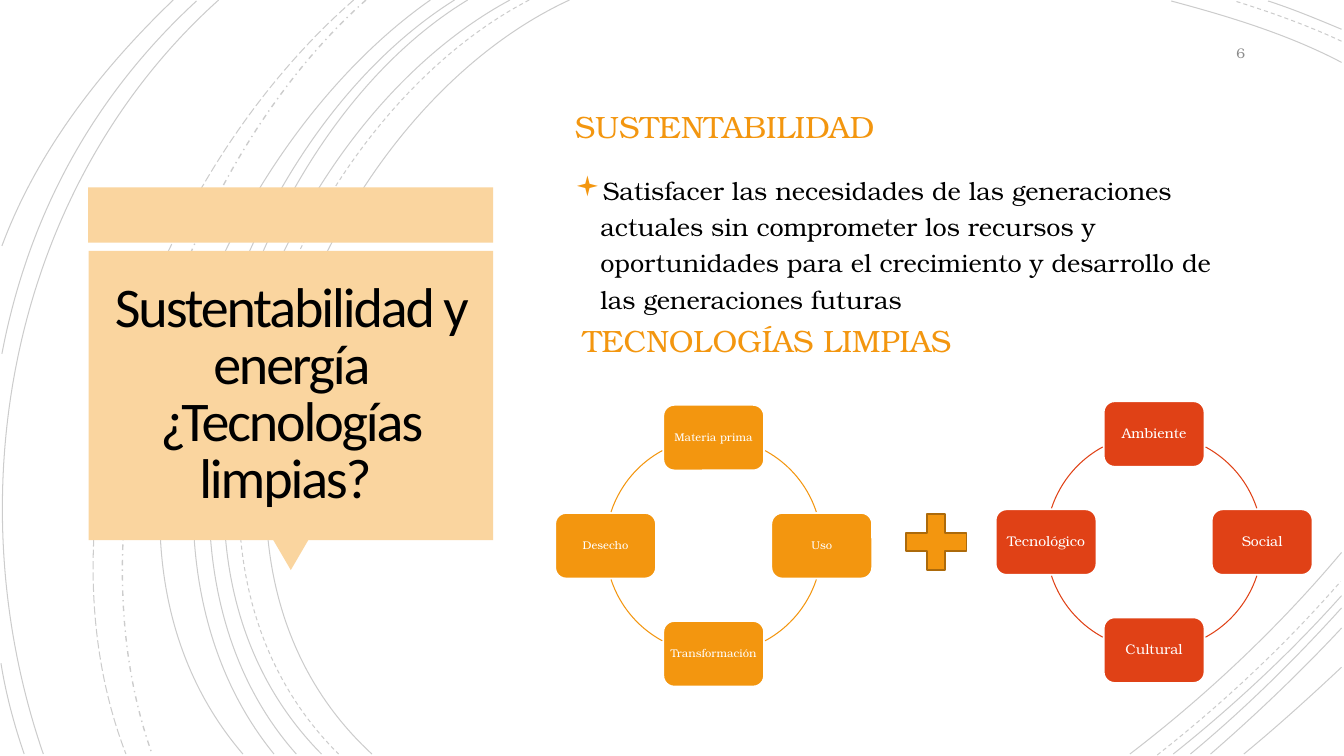
from dataclasses import dataclass

from lxml import etree
from pptx import Presentation
from pptx import util as u
from pptx.dml.color import RGBColor
from pptx.enum import dml, shapes, text
from pptx.oxml import ns

Pt = u.Pt
Shape = shapes.MSO_SHAPE
Align = text.PP_ALIGN
Anchor = text.MSO_ANCHOR
Dash = dml.MSO_LINE

ORANGE = RGBColor(0xF3, 0x96, 0x0F)
DARK_ORANGE = RGBColor(0xAC, 0x6A, 0x0B)
PEACH = RGBColor(0xFA, 0xD5, 0x9F)
RED = RGBColor(0xE0, 0x41, 0x16)
GRAY = RGBColor(0x8C, 0x8C, 0x8C)
BLACK = RGBColor(0, 0, 0)
WHITE = RGBColor(255, 255, 255)
SERIF = "TeX Gyre Bonum"

NODE_WIDTH, NODE_HEIGHT = 72, 46.8
CYCLE_RADIUS = 77.2


@dataclass
class Curve:
    points: tuple  # start, two controls, end
    dash: int = Dash.SOLID
    width: float = 0.75


@dataclass
class Label:
    words: str
    box: tuple  # left, top, width, height
    size: float
    color: RGBColor
    align: int = Align.LEFT
    anchor: int = Anchor.MIDDLE
    before: float = 0


@dataclass
class Cycle:
    center: tuple
    color: RGBColor
    size: float
    steps: tuple  # clockwise from the top


def sweep(top_x, control_1, control_2, bottom_x, dash=Dash.SOLID, width=0.75) -> Curve:
    """A curve that runs from the top edge to the bottom edge."""
    return Curve(((top_x, 0), control_1, control_2, (bottom_x, 538.6)), dash, width)


CURVES = [
    # Left sweeps
    sweep(406.8, (226.8, 82.8), (103, 388.8), 265.7),
    sweep(378, (205.2, 90), (88.6, 386.6), 241.9, Dash.DASH),
    sweep(364.3, (194.4, 91.4), (79.2, 386.6), 229.7),
    sweep(334.1, (175.7, 95.8), (79.2, 389.5), 211.7),
    sweep(324.7, (166.3, 99.4), (69.8, 383.8), 195.8),
    sweep(307.4, (156.2, 105.8), (38.2, 380.9), 173.5),
    sweep(261.4, (126.7, 119.5), (46.8, 366.5), 108.7, Dash.DASH_DOT, 1),
    sweep(252.7, (113, 121.7), (20.9, 359.3), 90, Dash.LONG_DASH),
    sweep(156.2, (7.9, 133.2), (-33.1, 352.8), 31),
    # Left edge
    Curve(((140.4, 0.7), (66.2, 69.1), (20.2, 154.1), (1.4, 252.7))),
    Curve(((0.7, 473.8), (4.3, 496.1), (10.1, 517.7), (17.3, 538.6))),
    Curve(((123.8, 0), (72, 49.7), (26.6, 108), (1.4, 175.7))),
    # Top right corner
    Curve(((958.3, 44.6), (920.2, 24.5), (877, 11.5), (836.6, 0.7))),
    Curve(((958.3, 29.5), (933.8, 18), (907.2, 8.6), (882, 0.7)), Dash.DASH),
    Curve(((958.3, 20.9), (941, 13.7), (923.8, 6.5), (905.8, 0.7))),
    # Bottom right corner
    Curve(((807.1, 538.6), (861.8, 496.8), (913.7, 447.8), (958.3, 394.6))),
    Curve(((826.6, 539.3), (873.4, 502.6), (918, 460.8), (957.6, 415.4)), Dash.DASH),
    Curve(((838.1, 538.6), (880.6, 504.7), (921.6, 466.6), (958.3, 425.5))),
    Curve(((850.3, 538.6), (888.5, 506.9), (924.5, 471.6), (958.3, 434.2))),
    Curve(((864.7, 538.6), (897.1, 510.5), (928.8, 480.2), (958.3, 448.6))),
    Curve(((888.5, 538.6), (912.2, 519.1), (935.3, 498.2), (958.3, 476.6))),
]

LABELS = [
    Label("SUSTENTABILIDAD", (403.5, 63.4, 493.2, 54), 22, ORANGE, before=10),
    Label("TECNOLOGÍAS LIMPIAS", (409, 216, 493.2, 54), 22, ORANGE, before=10),
    Label("6", (824.4, 25.2, 72, 25.2), 10, GRAY, Align.RIGHT),
]
DEFINITION = Label(
    "Satisfacer las necesidades de las generaciones actuales sin comprometer los recursos "
    "y oportunidades para el crecimiento y desarrollo de las generaciones futuras",
    (403.7, 117.2, 493.2, 133.9), 18, BLACK, anchor=Anchor.TOP, before=10)

CYCLES = [
    Cycle((509.8, 389.8), ORANGE, 8, ("Materia prima", "Uso", "Transformación", "Desecho")),
    Cycle((824.4, 387.2), RED, 10, ("Ambiente", "Social", "Cultural", "Tecnológico")),
]


def apply(target, **values) -> None:
    for name, value in values.items():
        setattr(target, name, value)


def write(shape, words: str, size: float, color: RGBColor, align: int,
          anchor: int = Anchor.MIDDLE, font: str = SERIF, inset: float = None):
    frame = shape.text_frame
    apply(frame, word_wrap=True, auto_size=text.MSO_AUTO_SIZE.NONE, vertical_anchor=anchor)
    if inset is not None:
        for side in ("left", "top", "right", "bottom"):
            setattr(frame, f"margin_{side}", Pt(inset))
    para = frame.paragraphs[0]
    para.alignment = align
    span = para.add_run()
    span.text = words
    apply(span.font, name=font, size=Pt(size))
    span.font.color.rgb = color
    return para


def add_label(page, label: Label):
    box = page.shapes.add_textbox(*map(Pt, label.box))
    para = write(box, label.words, label.size, label.color, label.align, label.anchor)
    para.space_before = Pt(label.before)
    return para


def add_block(page, kind: int, box: tuple, fill: RGBColor, line: RGBColor = None):
    shape = page.shapes.add_shape(kind, *map(Pt, box))
    shape.shadow.inherit = False
    shape.fill.solid()
    shape.fill.fore_color.rgb = fill
    if line is None:
        shape.line.fill.background()
    else:
        shape.line.color.rgb = line
        shape.line.width = Pt(1.25)
    return shape


def add_curve(page, curve: Curve) -> None:
    start, *others = [(Pt(x), Pt(y)) for x, y in curve.points]
    builder = page.shapes.build_freeform(*start)
    builder.add_line_segments(others, close=False)
    shape = builder.convert_to_shape()
    # Join the three segments into one cubic Bézier
    segments = list(shape._element.iter(ns.qn("a:lnTo")))
    bezier = etree.SubElement(segments[0].getparent(), ns.qn("a:cubicBezTo"))
    for segment in segments:
        bezier.append(segment[0])
        segment.getparent().remove(segment)
    shape.shadow.inherit = False
    shape.fill.background()
    shape.line.color.rgb = BLACK
    apply(shape.line, width=Pt(curve.width), dash_style=curve.dash)
    ink = shape.line._ln.find(".//" + ns.qn("a:srgbClr"))
    etree.SubElement(ink, ns.qn("a:alpha"), val="20000")


def add_cycle(page, cycle: Cycle) -> None:
    x, y = cycle.center
    directions = ((0, -1), (1, 0), (0, 1), (-1, 0))
    for words, (dx, dy) in zip(cycle.steps, directions):
        node = add_block(page, Shape.ROUNDED_RECTANGLE,
                         (x + dx * CYCLE_RADIUS - NODE_WIDTH / 2,
                          y + dy * CYCLE_RADIUS - NODE_HEIGHT / 2,
                          NODE_WIDTH, NODE_HEIGHT), cycle.color, WHITE)
        write(node, words, cycle.size, WHITE, Align.CENTER, inset=2.5).line_spacing = 0.9
    # Arcs between neighbouring nodes, in degrees clockwise from the right
    for start, end in ((298.4, 341.8), (18.2, 61.6), (118.4, 161.8), (198.2, 241.6)):
        arc = page.shapes.add_shape(Shape.ARC, Pt(x - CYCLE_RADIUS), Pt(y - CYCLE_RADIUS),
                                    Pt(2 * CYCLE_RADIUS), Pt(2 * CYCLE_RADIUS))
        arc.shadow.inherit = False
        arc.fill.background()
        arc.line.color.rgb = cycle.color
        arc.line.width = Pt(0.75)
        for index, angle in enumerate((start, end)):
            arc.adjustments[index] = angle * 0.6


def add_bullet(para) -> None:
    props = para._p.get_or_add_pPr()
    for name, value in {"marL": Pt(18), "indent": -Pt(18)}.items():
        props.set(name, str(value))
    color = etree.SubElement(props, ns.qn("a:buClr"))
    etree.SubElement(color, ns.qn("a:srgbClr"), val=str(ORANGE))
    etree.SubElement(props, ns.qn("a:buSzPct"), val="110000")
    etree.SubElement(props, ns.qn("a:buFont"), typeface="Wingdings")
    etree.SubElement(props, ns.qn("a:buChar"), char="▪")


def main() -> None:
    deck = Presentation()
    apply(deck, slide_width=Pt(960), slide_height=Pt(540))
    page = deck.slides.add_slide(deck.slide_layouts[5])

    # Backdrop
    for curve in CURVES:
        add_curve(page, curve)

    # Title panel
    add_block(page, Shape.RECTANGLE, (63, 133.8, 289.2, 39.6), PEACH)
    add_block(page, Shape.ISOSCELES_TRIANGLE, (195.1, 385.6, 25.2, 21.6), PEACH).rotation = 180
    add_block(page, Shape.RECTANGLE, (63.4, 179.2, 288.8, 206.6), PEACH)
    title = page.shapes.title
    apply(title, left=Pt(69.8), top=Pt(186), width=Pt(275.8), height=Pt(193.7))
    para = write(title, "Sustentabilidad y energía ¿Tecnologías limpias? ", 40, BLACK,
                 Align.CENTER, font="Calibri", inset=7.2)
    para.line_spacing = 0.85
    para.runs[0].font._element.set("spc", "-150")
    page.shapes._spTree.append(title._element)

    # Headings, definition and page number
    for label in LABELS:
        add_label(page, label)
    para = add_label(page, DEFINITION)
    para.line_spacing = 1.2
    add_bullet(para)

    # Cycles and the plus between them
    for cycle in CYCLES:
        add_cycle(page, cycle)
    add_block(page, Shape.MATH_PLUS, (639.2, 360.2, 59, 54), ORANGE, DARK_ORANGE)

    deck.save("out.pptx")


if __name__ == "__main__":
    main()
